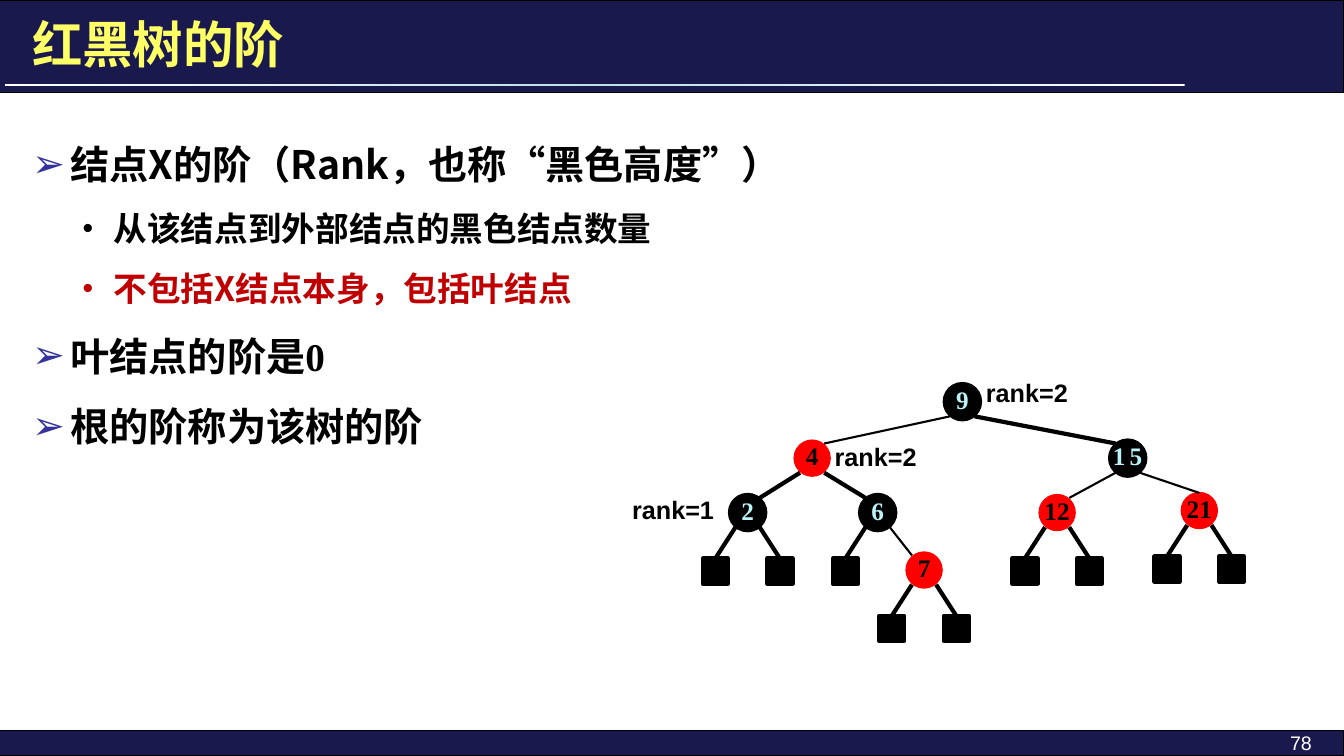
from copy import deepcopy

from lxml import etree
from pptx import Presentation
from pptx import util as u
from pptx.dml.color import RGBColor
from pptx.enum import shapes, text
from pptx.oxml.ns import qn

HUES = {"navy": "19194D", "black": "000000", "white": "FFFFFF", "ice": "BBE0E3",
        "yellow": "FFFF66", "blue": "333399", "red": "FF0000", "dark": "C00000",
        "pale": "B9F3F8", "teal": "83ACAF", "rim": "F9FCFC"}
HAN, SERIF, SANS = "Noto Sans CJK SC", "Times New Roman", "Arial"
OVAL, RECT = shapes.MSO_SHAPE.OVAL, shapes.MSO_SHAPE.RECTANGLE
LEFT, RIGHT, MID = text.PP_ALIGN.LEFT, text.PP_ALIGN.RIGHT, text.PP_ALIGN.CENTER


def rgb(hue):
    return RGBColor.from_string(HUES[hue])


def sub(root, tag, **attrs):
    return etree.SubElement(root, qn(tag), attrs)


def grade(fill, root, stops, angle):
    fill.gradient()
    fill.gradient_angle = angle
    rows = root.find(".//" + qn("a:gsLst"))
    while len(rows) < len(stops):
        rows.append(deepcopy(rows[0]))
    for stop, (pos, hue) in zip(fill.gradient_stops, stops):
        stop.position = pos
        stop.color.rgb = rgb(hue)


def write(para, words, size=18, font=SANS, hue="black", bold=True, align=LEFT):
    """Add one formatted run to a paragraph."""
    para.alignment = align
    run = para.add_run()
    run.text = words
    run.font.size, run.font.name, run.font.bold = u.Pt(size), font, bold
    run.font.color.rgb = rgb(hue)
    sub(run.font._element, "a:ea", typeface=HAN)
    return run


class Deck:
    def __init__(self):
        self.file = Presentation()
        self.file.slide_width = u.Inches(13.33)
        self.file.slide_height = u.Inches(7.5)
        self.slide = self.file.slides.add_slide(self.file.slide_layouts[6])

    def block(self, kind, x, y, w, h, hue, line=None, width=0.75):
        shape = self.slide.shapes.add_shape(kind, *map(u.Inches, (x, y, w, h)))
        shape.shadow.inherit = False
        shape.fill.solid()
        shape.fill.fore_color.rgb = rgb(hue)
        if line:
            shape.line.color.rgb = rgb(line)
            shape.line.width = u.Pt(width)
        else:
            shape.line.fill.background()
        return shape

    def box(self, x, y, w, h):
        frame = self.slide.shapes.add_textbox(*map(u.Inches, (x, y, w, h))).text_frame
        frame.word_wrap = True
        return frame

    def label(self, words, x, y, w, h, **style):
        frame = self.box(x, y, w, h)
        write(frame.paragraphs[0], words, **style)
        return frame

    def point(self, para, words, first=False, deep=False, font=HAN, hue="black"):
        size = 24 if deep else 28
        para.line_spacing = 1.2
        para.space_before = u.Pt(0 if first else round(size * 0.36, 1))
        props = para._p.get_or_add_pPr()
        props.set("marL", str(u.Inches(0.81 if deep else 0.38)))
        props.set("indent", str(u.Inches(-0.31 if deep else -0.38)))
        if deep:
            props.set("lvl", "1")
            sub(props, "a:buSzPct", val="90000")
        else:
            sub(sub(props, "a:buClr"), "a:srgbClr", val=HUES["blue"])
        sub(props, "a:buFont", typeface=SANS)
        sub(props, "a:buChar", char="•" if deep else "➢")
        write(para, words, size=size, font=font, hue=hue)

    def node(self, key, x, y, hue):
        dark = hue == "black"
        shape = self.block(OVAL, x, y, 0.35, 0.35, hue, hue, 3 if dark else 1.5)
        frame = shape.text_frame
        frame.margin_left = frame.margin_right = frame.margin_top = 0
        frame.margin_bottom = u.Inches(0.05)
        frame.word_wrap = False
        frame.vertical_anchor = text.MSO_ANCHOR.MIDDLE
        run = write(frame.paragraphs[0], key, font=SERIF, align=MID)
        props = run.font._element
        if dark:
            props.set("spc", "300")
            grade(run.font.fill, props, [(0.1, "pale"), (0.75, "teal")], 270)
        edge = etree.Element(qn("a:ln"), w=str(u.Pt(0.9 if dark else 0.71)))
        sub(sub(edge, "a:solidFill"), "a:srgbClr", val=HUES["rim" if dark else "black"])
        props.insert(0, edge)
        return shape

    def edge(self, x1, y1, x2, y2, width, top=None):
        """Draw a tree edge; top is the shape whose upper side it meets."""
        line = self.slide.shapes.add_connector(
            shapes.MSO_CONNECTOR.STRAIGHT, *map(u.Inches, (x1, y1, x2, y2)))
        line.line.color.rgb = rgb("black")
        line.line.width = u.Pt(width)
        sub(line._element.spPr, "a:effectLst")
        if top is not None:
            line.end_connect(top, 0)


def main():
    deck = Deck()

    # Bars, rule and title
    deck.block(RECT, 0, 7.25, 13.33, 0.25, "navy", "black")
    deck.block(RECT, 0, 0, 13.33, 0.92, "navy", "black")
    rule = deck.block(RECT, 0.05, 0.83, 11.7, 0.02, "white")
    grade(rule.fill, rule._element.spPr, [(0, "white"), (0.5, "ice"), (1, "white")], 0)
    title = deck.label("红黑树的阶", 0.22, 0.08, 11.55, 0.7, size=36, font=HAN, hue="yellow")
    title.vertical_anchor = text.MSO_ANCHOR.MIDDLE

    # Bullet points
    body = deck.box(0.22, 1.08, 11.11, 4)
    body.margin_top = u.Inches(0.22)
    points = [("结点X的阶（Rank，也称“黑色高度”）", {"first": True}),
              ("从该结点到外部结点的黑色结点数量", {"deep": True}),
              ("不包括X结点本身，包括叶结点", {"deep": True, "hue": "dark"}),
              ("叶结点的阶是0", {"font": SERIF}),
              ("根的阶称为该树的阶", {"font": SERIF})]
    for i, (words, style) in enumerate(points):
        para = body.add_paragraph() if i else body.paragraphs[0]
        deck.point(para, words, **style)

    # Tree nodes: left, top, colour
    spots = {"9": (9.37, 3.81, "black"), "4": (7.88, 4.37, "red"),
             "15": (11.01, 4.37, "black"), "2": (7.24, 4.91, "black"),
             "6": (8.53, 4.91, "black"), "12": (10.31, 4.91, "red"),
             "21": (11.72, 4.89, "red"), "7": (8.99, 5.48, "red")}
    nodes = {key: deck.node(key, *spot) for key, spot in spots.items()}

    # Left and right children; None is a leaf square
    kids = {"9": ("4", "15"), "4": ("2", "6"), "15": ("12", "21"),
            "2": (None, None), "6": (None, "7"), "12": (None, None),
            "21": (None, None), "7": (None, None)}
    for key, pair in kids.items():
        x, y, _ = spots[key]
        mid = x + 0.175
        for side, kid in zip((-1, 1), pair):
            start = (mid + side * 0.12, y + 0.32)
            if kid is None:
                left = mid + side * 0.32 - 0.125
                leaf = deck.block(RECT, left, y + 0.63, 0.25, 0.25, "black", "black", 3)
                deck.edge(*start, left + 0.125, y + 0.63, 3, leaf)
            else:
                kx, ky, hue = spots[kid]
                deck.edge(*start, kx + 0.175 - side * 0.12, ky + 0.03,
                          3 if hue == "black" else 1.5,
                          nodes[kid] if kid == "21" else None)

    # Rank labels and page number
    for words, x, y, align in [("rank=1", 5.76, 4.86, RIGHT), ("rank=2", 9.68, 3.69, LEFT),
                               ("rank=2", 8.18, 4.33, LEFT)]:
        deck.label(words, x, y, 1.42, 0.4, align=align)
    deck.label("78", 11.11, 7.2, 2, 0.25, size=14, hue="white", bold=False, align=RIGHT)

    deck.file.save("out.pptx")


if __name__ == "__main__":
    main()
